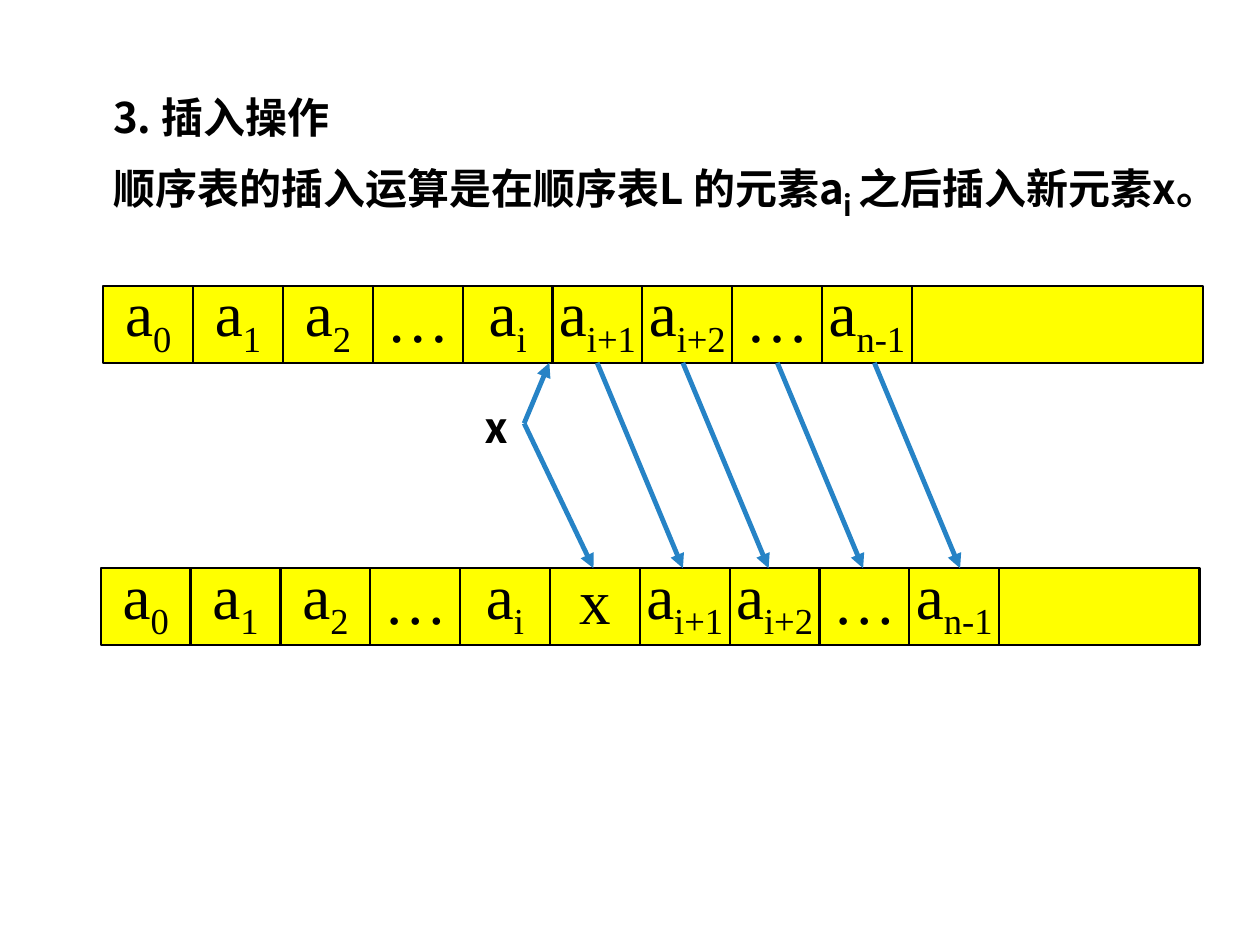
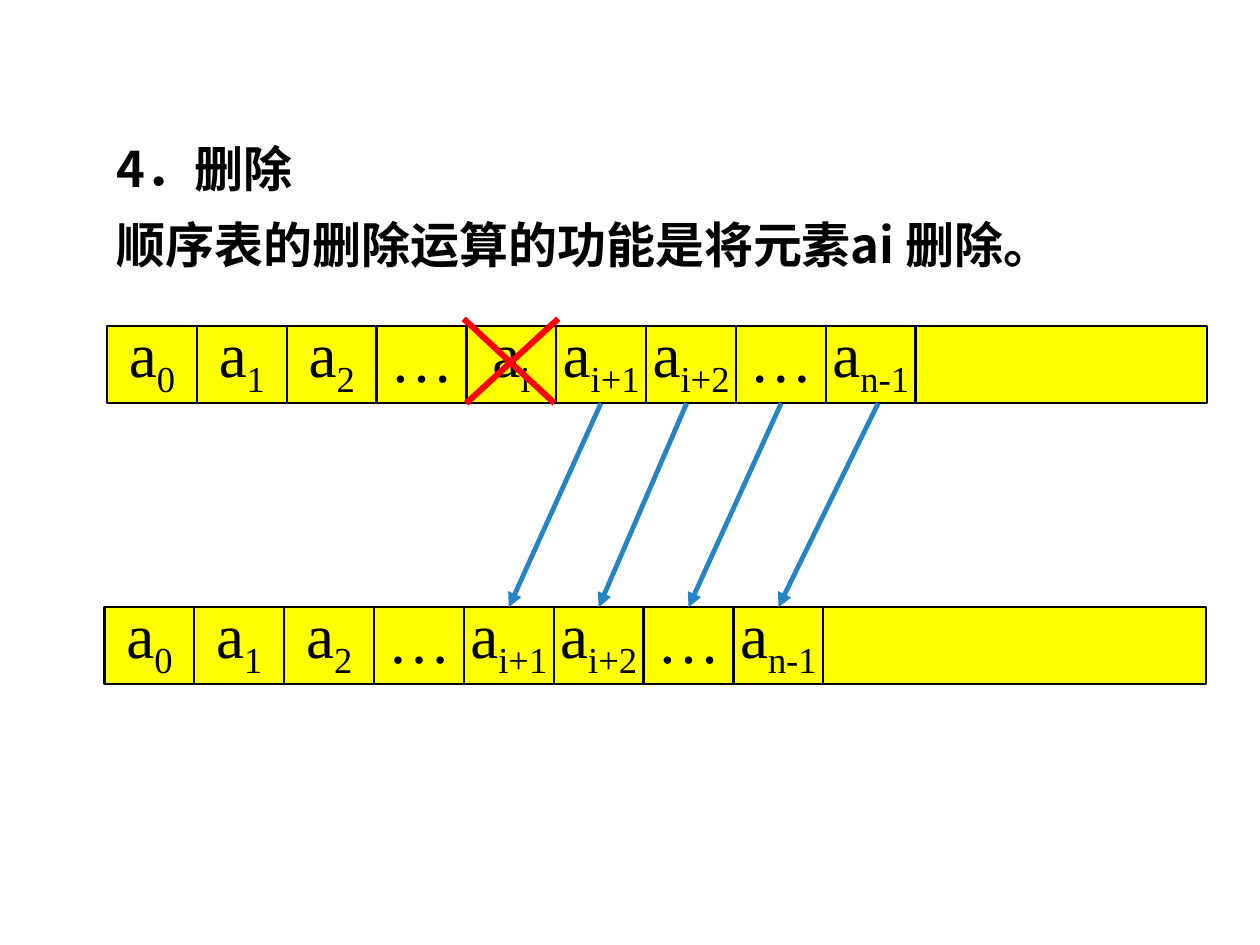
"""Build two slides on inserting into and deleting from a sequential list."""
from pptx import Presentation, util as u
from pptx.dml.color import RGBColor
from pptx.enum import shapes, text as t
from pptx.oxml.ns import qn
from lxml import etree

BLACK = RGBColor(0, 0, 0)
YELLOW = RGBColor(0xFF, 0xFF, 0)
BLUE = RGBColor(0x26, 0x83, 0xC6)
RED = RGBColor(0xFF, 0, 0)
SANS, SERIF = "Noto Sans CJK SC", "Times New Roman"
COLS = 100
WIDE, HIGH = 7.13, 6.1
HEAD = ["a~0", "a~1", "a~2", "…"]
TAIL = ["a~i+1", "a~i+2", "…", "a~n-1"]
STARTS = [47.4, 54.2, 61.7, 69.4]


def write(shape, words, size, face, bold=False, space=None, align=None, low=None):
    """Fill a shape with lines whose every second part, split at ~, is lowered."""
    frame = shape.text_frame
    for n, line in enumerate(words.split("\n")):
        para = frame.paragraphs[0] if n == 0 else frame.add_paragraph()
        para.alignment = align
        para.line_spacing = space
        for k, part in enumerate(line.split("~")):
            run = para.add_run()
            run.text = part
            font = run.font
            font.name, font.bold = face, bold
            font.size = u.Pt(low if k % 2 and low else size)
            font.color.rgb = BLACK
            props = run._r.get_or_add_rPr()
            etree.SubElement(props, qn("a:ea"), typeface=face)
            if k % 2:
                props.set("baseline", "-25000")


class Deck:
    """Hold the style and the current slide, on a grid of 100 columns by 75 rows."""

    def __init__(self):
        """Open an empty deck of 10 by 7.5 inches."""
        self.show = Presentation()
        self.show.slide_width, self.show.slide_height = u.Inches(10), u.Inches(7.5)
        self.unit = self.show.slide_width / COLS
        self.slide = None

    def grid(self, *cells):
        """Turn columns and rows into lengths."""
        return [u.Emu(round(c * self.unit)) for c in cells]

    def page(self):
        """Start a blank slide."""
        self.slide = self.show.slides.add_slide(self.show.slide_layouts[6])

    def label(self, place, words, size, face=SANS, wrap=True, **form):
        """Add a bold text box."""
        box = self.slide.shapes.add_textbox(*self.grid(*place))
        box.text_frame.word_wrap = wrap
        write(box, words, size, face, bold=True, **form)

    def cell(self, x, y, wide, words=""):
        """Add one yellow cell of a list."""
        box = self.slide.shapes.add_shape(
            shapes.MSO_SHAPE.RECTANGLE, *self.grid(x, y, wide, HIGH))
        box.shadow.inherit = False
        box.fill.solid()
        box.fill.fore_color.rgb = YELLOW
        box.line.color.rgb = BLACK
        box.line.width = u.Pt(1.25)
        frame = box.text_frame
        frame.word_wrap = False
        frame.vertical_anchor = t.MSO_ANCHOR.MIDDLE
        frame.margin_left = frame.margin_right = 0
        frame.margin_top, frame.margin_bottom = self.grid(0.4, 1.6)
        if words:
            write(box, words, 36, SERIF, align=t.PP_ALIGN.CENTER)

    def row(self, x, y, names, end):
        """Add a list of named cells, then its free space up to end."""
        for k, name in enumerate(names):
            self.cell(x + k * WIDE, y, WIDE, name)
        free = x + len(names) * WIDE
        self.cell(free, y, end - free)

    def line(self, *ends, color=BLUE, width=2.75, arrow=True):
        """Add a straight line, with an arrowhead unless told otherwise."""
        link = self.slide.shapes.add_connector(
            shapes.MSO_CONNECTOR.STRAIGHT, *self.grid(*ends))
        link.line.color.rgb = color
        link.line.width = u.Pt(width)
        if arrow:
            etree.SubElement(link.line._get_or_add_ln(), qn("a:tailEnd"), type="triangle")
        etree.SubElement(link._element.spPr, qn("a:effectLst"))


def insert(deck):
    """Draw the slide on inserting x after an element."""
    deck.page()
    deck.label((8, 6, 92.5, 10.7),
               "3. 插入操作\n顺序表的插入运算是在顺序表L 的元素a~i ~之后插入新元素x。",
               24, space=1.2, low=28)
    top, base = 22.7, 45.1
    deck.row(8.2, top, HEAD + ["a~i"] + TAIL, 95.5)
    deck.row(8, base, HEAD + ["a~i", "x"] + TAIL, 95.2)
    deck.label((37.5, 30.8, 4.1, 5.7), "x", 28, face="Calibri", wrap=False)
    deck.line(41.6, 33.6, 43.6, top + HIGH)
    deck.line(41.6, 33.6, 47.1, base)
    for x in STARTS:
        deck.line(x, top + HIGH, x + 6.8, base)


def delete(deck):
    """Draw the slide on deleting an element."""
    deck.page()
    deck.label((8.3, 9.1, 88.2, 13.3),
               "4．删除\n顺序表的删除运算的功能是将元素ai 删除。", 28, space=1.3)
    left, top, base = 8.3, 25.9, 48.2
    deck.row(8.5, top, HEAD + ["a~i"] + TAIL, 95.8)
    deck.row(left, base, HEAD + TAIL, 95.7)
    for k, x in enumerate(STARTS, len(HEAD)):
        deck.line(x + 0.3, top + HIGH, left + (k + 0.5) * WIDE, base)
    for start, end in ((36.8, 44), (44.3, 37)):
        deck.line(start, 25.3, end, 32, color=RED, width=3.5, arrow=False)


def main():
    """Build both slides and save them."""
    deck = Deck()
    insert(deck)
    delete(deck)
    deck.show.save("out.pptx")


if __name__ == "__main__":
    main()
